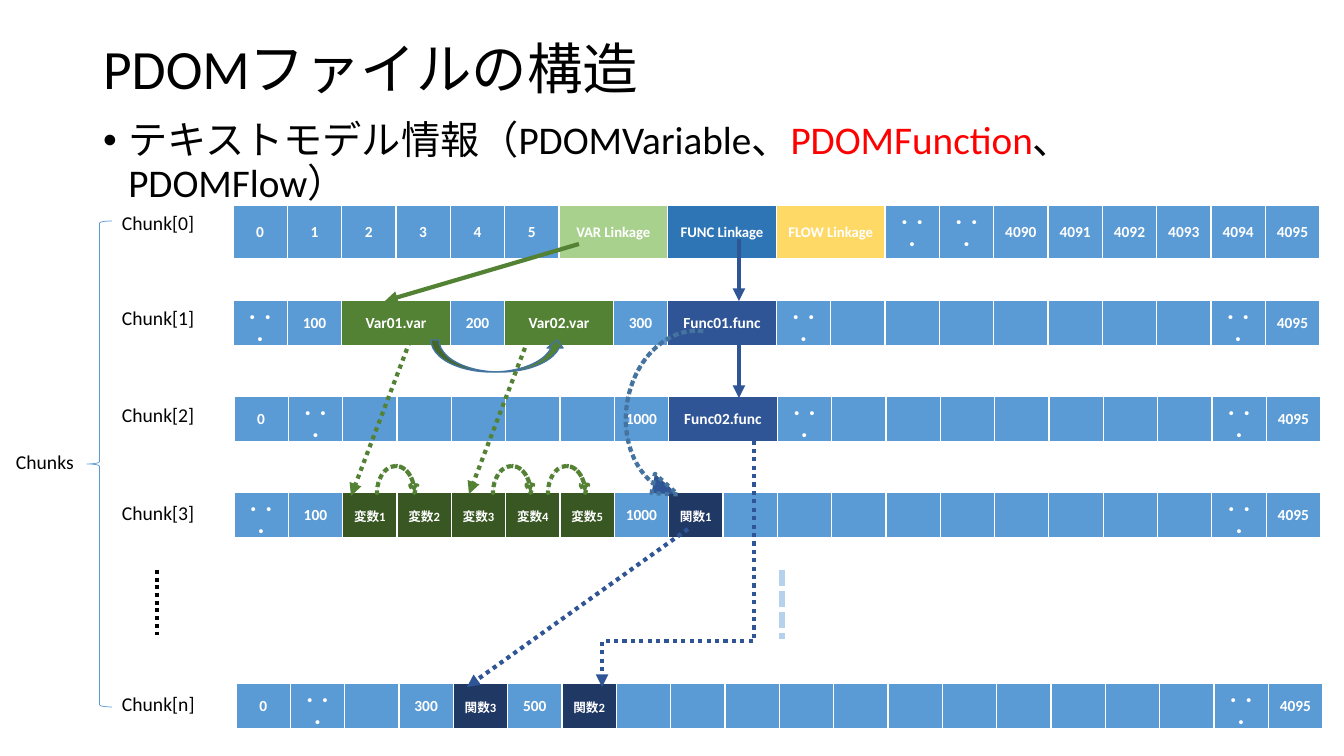
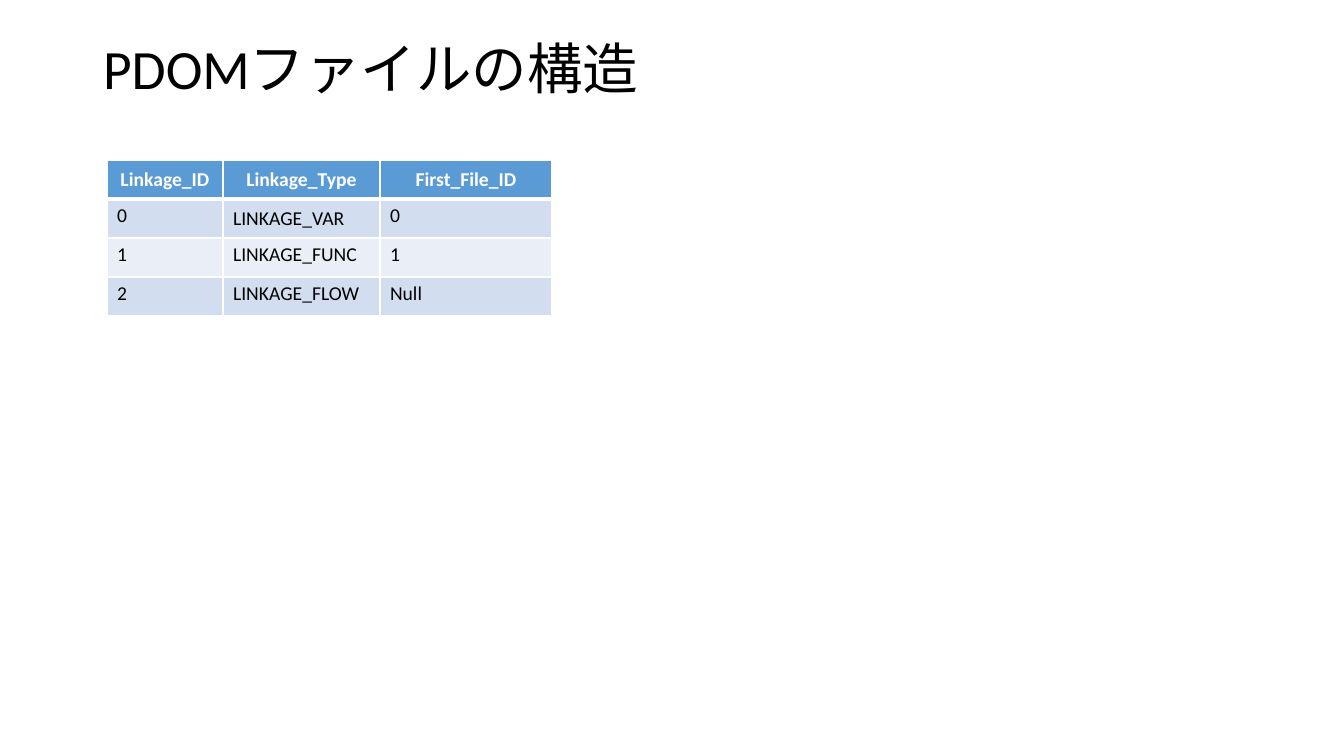
import pptx
import pptx.dml.color
import pptx.enum.dml
import pptx.enum.shapes
import pptx.enum.text
import pptx.oxml
import pptx.oxml.ns
import pptx.util

EMU_PER_PIXEL = 914400 / 100.8
FONT = "Calibri"
TITLE = "PDOMファイルの構造"

BLACK, WHITE, RED = "000000", "FFFFFF", "FF0000"
BLUE, PALE_BLUE, NAVY, OUTLINE = "5B9BD5", "B5D2EC", "2F5597", "43739E"
GREEN = "548235"
BANDS = ("D2DEEF", "EAEFF7")

SHAPES = pptx.enum.shapes.MSO_SHAPE
ALIGN = pptx.enum.text.PP_ALIGN
ANCHOR = pptx.enum.text.MSO_ANCHOR
DOTTED = pptx.enum.dml.MSO_LINE.ROUND_DOT
DASHED = pptx.enum.dml.MSO_LINE.SQUARE_DOT

# Records by the start of their text: fill, text size, columns taken
RECORD_STYLES = {
    "VAR ": ("A9D18E", 10.5, 2),
    "FUNC ": ("2E75B6", 10.5, 2),
    "FLOW ": ("FFD966", 10.5, 2),
    "Var": (GREEN, 11, 2),
    "Func": (NAVY, 11, 2),
    "変数": ("385723", 9, 1),
    "関数": ("203864", 9, 1),
}
PLAIN_STYLE = (BLUE, 11, 1)
CHUNK_COLUMNS = 20
CHUNK_WIDTH = 1087
CHUNK_HEIGHT = 41

DOTS = "・・・"
END = [DOTS, "4095"]
# Label, label top, table left, table top, records
CHUNKS = [
    ("Chunk[0]", 206, 233, 205,
     ["0", "1", "2", "3", "4", "5", "VAR Linkage", "FUNC Linkage", "FLOW Linkage",
      DOTS, DOTS, "4090", "4091", "4092", "4093", "4094", "4095"]),
    ("Chunk[1]", 301, 233, 300,
     [DOTS, "100", "Var01.var", "200", "Var02.var", "300", "Func01.func", DOTS]
     + [""] * 7 + END),
    ("Chunk[2]", 398, 234, 396,
     ["0", DOTS] + [""] * 5 + ["1000", "Func02.func", DOTS] + [""] * 7 + END),
    ("Chunk[3]", 496, 234, 492,
     [DOTS, "100", "変数1", "変数2", "変数3", "変数4", "変数5", "1000", "関数1"]
     + [""] * 9 + END),
    ("Chunk[n]", 687, 236, 683,
     ["0", DOTS, "", "300", "関数3", "500", "関数2"] + [""] * 11 + END),
]
FULL_WIDTH_DIGITS = str.maketrans("12345", "12345")

LINKAGE_ROWS = [
    ("Linkage_ID", "Linkage_Type", "First_File_ID"),
    ("0", "LINKAGE_VAR", "0"),
    ("1", "LINKAGE_FUNC", "1"),
    ("2", "LINKAGE_FLOW", "Null"),
]


def px(pixels):
    """Turn pixels into EMU."""
    return pptx.util.Emu(round(pixels * EMU_PER_PIXEL))


def color(hex_text):
    """Turn a hex string into a colour."""
    return pptx.dml.color.RGBColor.from_string(hex_text)


def format_run(run, size, hex_text=BLACK, bold=False):
    """Give a run its font."""
    run.font.name = FONT
    run.font.size = pptx.util.Pt(size)
    run.font.bold = bold
    run.font.color.rgb = color(hex_text)


def place(shape, left, top, width, height):
    """Move and size a shape."""
    shape.left, shape.top = px(left), px(top)
    shape.width, shape.height = px(width), px(height)


def add_titled_slide(presentation, layout_index):
    """Add a slide with the shared title."""
    slide = presentation.slides.add_slide(presentation.slide_layouts[layout_index])
    title = slide.shapes.title
    place(title, 93, 40, 1159, 63)
    frame = title.text_frame
    frame.text = TITLE
    frame.auto_size = pptx.enum.text.MSO_AUTO_SIZE.NONE
    frame.vertical_anchor = ANCHOR.MIDDLE
    paragraph = frame.paragraphs[0]
    paragraph.alignment = ALIGN.LEFT
    paragraph.line_spacing = 0.9
    format_run(paragraph.runs[0], 39.6)
    return slide


def fill_body(slide, parts):
    """Write one bullet made of coloured parts."""
    body = slide.placeholders[1]
    place(body, 93, 116, 1159, 631)
    body.text_frame.auto_size = pptx.enum.text.MSO_AUTO_SIZE.NONE
    paragraph = body.text_frame.paragraphs[0]
    paragraph.line_spacing = 0.9
    paragraph.space_before = pptx.util.Pt(10)
    indent = pptx.util.Inches(0.25)
    properties = paragraph._p.get_or_add_pPr()
    properties.set("marL", str(indent))
    properties.set("indent", str(-indent))
    for text, hex_text in parts:
        run = paragraph.add_run()
        run.text = text
        format_run(run, 28, hex_text)


def add_label(slide, text, left, top):
    """Add a small caption."""
    box = slide.shapes.add_textbox(px(left), px(top), px(96), px(34))
    box.text_frame.word_wrap = True
    box.text_frame.text = text
    format_run(box.text_frame.paragraphs[0].runs[0], 14)


def set_borders(cell, top=1, bottom=1):
    """Draw white borders, widths in points."""
    properties = cell._tc.get_or_add_tcPr()
    widths = {"lnL": 1, "lnR": 1, "lnT": top, "lnB": bottom}
    for index, (tag, width) in enumerate(widths.items()):
        properties.insert(index, pptx.oxml.parse_xml(
            f'<a:{tag} {pptx.oxml.ns.nsdecls("a")} w="{pptx.util.Pt(width)}">'
            f'<a:solidFill><a:srgbClr val="{WHITE}"/></a:solidFill></a:{tag}>'))


def fill_cell(cell, text, fill, size, header=True, anchor=ANCHOR.MIDDLE):
    """Write and colour a table cell; header text is bold, white and centred."""
    cell.fill.solid()
    cell.fill.fore_color.rgb = color(fill)
    cell.vertical_anchor = anchor
    cell.text = text
    paragraph = cell.text_frame.paragraphs[0]
    paragraph.alignment = ALIGN.CENTER if header else ALIGN.LEFT
    paragraph.font.size = pptx.util.Pt(size)
    for run in paragraph.runs:
        format_run(run, size, WHITE if header else BLACK, header)


def add_table(slide, left, top, widths, row_count, row_height):
    """Add a table with the given column widths."""
    table = slide.shapes.add_table(
        row_count, len(widths), px(left), px(top),
        px(sum(widths)), px(row_count * row_height)).table
    table.horz_banding = False
    for column, width in zip(table.columns, widths):
        column.width = px(width)
    return table


def record_style(text):
    """Find the style of a record."""
    for start, style in RECORD_STYLES.items():
        if text.startswith(start):
            return style
    return PLAIN_STYLE


def add_chunk(slide, left, top, records):
    """Add one chunk as a row of records."""
    styles = [record_style(text) for text in records]
    unit = CHUNK_WIDTH / CHUNK_COLUMNS
    widths = [unit * columns for _, _, columns in styles]
    table = add_table(slide, left, top, widths, 1, CHUNK_HEIGHT)
    for cell, text, (fill, size, _) in zip(table.rows[0].cells, records, styles):
        if text[:2] in RECORD_STYLES:
            text = text.translate(FULL_WIDTH_DIGITS)
        fill_cell(cell, text, fill, size)
        set_borders(cell, bottom=3)


def format_line(line, hex_text, width, dash=None):
    """Set a line's colour, width and dash."""
    line.color.rgb = color(hex_text)
    line.width = pptx.util.Pt(width)
    if dash is not None:
        line.dash_style = dash


def add_line(slide, start, end, hex_text, width=3, dash=None, arrow=True, elbow=False):
    """Add a line or arrow between two points."""
    kinds = pptx.enum.shapes.MSO_CONNECTOR
    connector = slide.shapes.add_connector(
        kinds.ELBOW if elbow else kinds.STRAIGHT, *map(px, start + end))
    format_line(connector.line, hex_text, width, dash)
    namespace = pptx.oxml.ns.nsdecls("a")
    if arrow:
        connector.line._get_or_add_ln().append(
            pptx.oxml.parse_xml(f'<a:tailEnd {namespace} type="triangle"/>'))
    connector.element.spPr.append(pptx.oxml.parse_xml(f"<a:effectLst {namespace}/>"))
    return connector


def add_elbow_down(slide, start, end, bend, hex_text):
    """Add a dotted elbow that leaves downwards and turns at a share of its height."""
    width, height = end[1] - start[1], abs(end[0] - start[0])
    left = (start[0] + end[0] - width) / 2
    top = (start[1] + end[1] - height) / 2
    connector = add_line(slide, (left, top), (left + width, top + height),
                         hex_text, dash=DOTTED, elbow=True)
    properties = connector.element.spPr
    properties.find(pptx.oxml.ns.qn("a:xfrm")).set("rot", str(90 * 60000))
    geometry = properties.find(pptx.oxml.ns.qn("a:prstGeom"))
    guides = geometry.find(pptx.oxml.ns.qn("a:avLst"))
    guides.append(pptx.oxml.parse_xml(
        f'<a:gd {pptx.oxml.ns.nsdecls("a")} name="adj1" fmla="val {round(bend * 100000)}"/>'))


def add_curved_arrow(slide, box, fill, outline, width=3, dash=DOTTED,
                     adjustments=(), rotation=0, flip=False):
    """Add a curved arrow."""
    arrow = slide.shapes.add_shape(SHAPES.CURVED_DOWN_ARROW, *map(px, box))
    arrow.shadow.inherit = False
    arrow.fill.solid()
    arrow.fill.fore_color.rgb = color(fill)
    format_line(arrow.line, outline, width, dash)
    for index, value in enumerate(adjustments):
        arrow.adjustments[index] = value
    arrow.rotation = rotation
    if flip:
        arrow.element.spPr.find(pptx.oxml.ns.qn("a:xfrm")).set("flipH", "1")


def add_brace(slide, box):
    """Add the brace that groups the chunks."""
    brace = slide.shapes.add_shape(SHAPES.LEFT_BRACE, *map(px, box))
    brace.shadow.inherit = False
    brace.fill.background()
    format_line(brace.line, BLUE, 0.5)


def build_chunk_slide(presentation):
    """Show the chunks and the links between their records."""
    slide = add_titled_slide(presentation, 1)
    fill_body(slide, [("テキストモデル情報（PDOMVariable、", BLACK),
                      ("PDOMFunction", RED), ("、PDOMFlow）", BLACK)])
    for label, label_top, left, top, records in CHUNKS:
        add_chunk(slide, left, top, records)
        add_label(slide, label, 112, label_top)

    add_line(slide, (782, 570), (782, 639), PALE_BLUE, 3.75, DASHED, arrow=False)
    add_line(slide, (157, 570), (157, 639), BLACK, 2.75, DOTTED, arrow=False)
    for top in (239, 336):
        add_line(slide, (739, top), (739, top + 62), NAVY)
    add_line(slide, (579, 244), (385, 301), GREEN)
    add_line(slide, (410, 341), (351, 496), GREEN, dash=DOTTED)

    add_curved_arrow(slide, (431, 340, 134, 32), GREEN, OUTLINE, 1, None,
                     rotation=180, flip=True)
    for left, adjustments in ((377, (0, 0.26, 0.28)), (493, (0, 0.25, 0.3)),
                              (548, (0, 0.28, 0.3))):
        add_curved_arrow(slide, (left, 466, 41, 27), GREEN, GREEN,
                         adjustments=adjustments)
    add_curved_arrow(slide, (571, 380, 175, 65), NAVY, OUTLINE,
                     adjustments=(0, 0.3, 0.4), rotation=279.4, flip=True)

    add_line(slide, (688, 529), (467, 687), NAVY, dash=DOTTED)
    add_elbow_down(slide, (754, 432), (602, 687), 0.82, NAVY)
    add_line(slide, (528, 340), (469, 494), GREEN, dash=DOTTED)
    add_brace(slide, (87, 221, 25, 486))
    add_label(slide, "Chunks", 6, 445)


def build_linkage_slide(presentation):
    """Show the linkage table."""
    slide = add_titled_slide(presentation, 5)
    table = add_table(slide, 107, 160, (116, 157, 172), len(LINKAGE_ROWS), 39)
    for row_index, texts in enumerate(LINKAGE_ROWS):
        header = row_index == 0
        fill = BLUE if header else BANDS[(row_index - 1) % 2]
        for column_index, text in enumerate(texts):
            cell = table.cell(row_index, column_index)
            centred = header or text == "LINKAGE_VAR"
            fill_cell(cell, text, fill, 14, header,
                      ANCHOR.MIDDLE if centred else ANCHOR.TOP)
            set_borders(cell, top=3 if row_index == 1 else 1, bottom=3 if header else 1)


def main():
    """Build and save the presentation."""
    presentation = pptx.Presentation()
    presentation.slide_width, presentation.slide_height = px(1344), px(756)
    build_chunk_slide(presentation)
    build_linkage_slide(presentation)
    presentation.save("out.pptx")


main()
